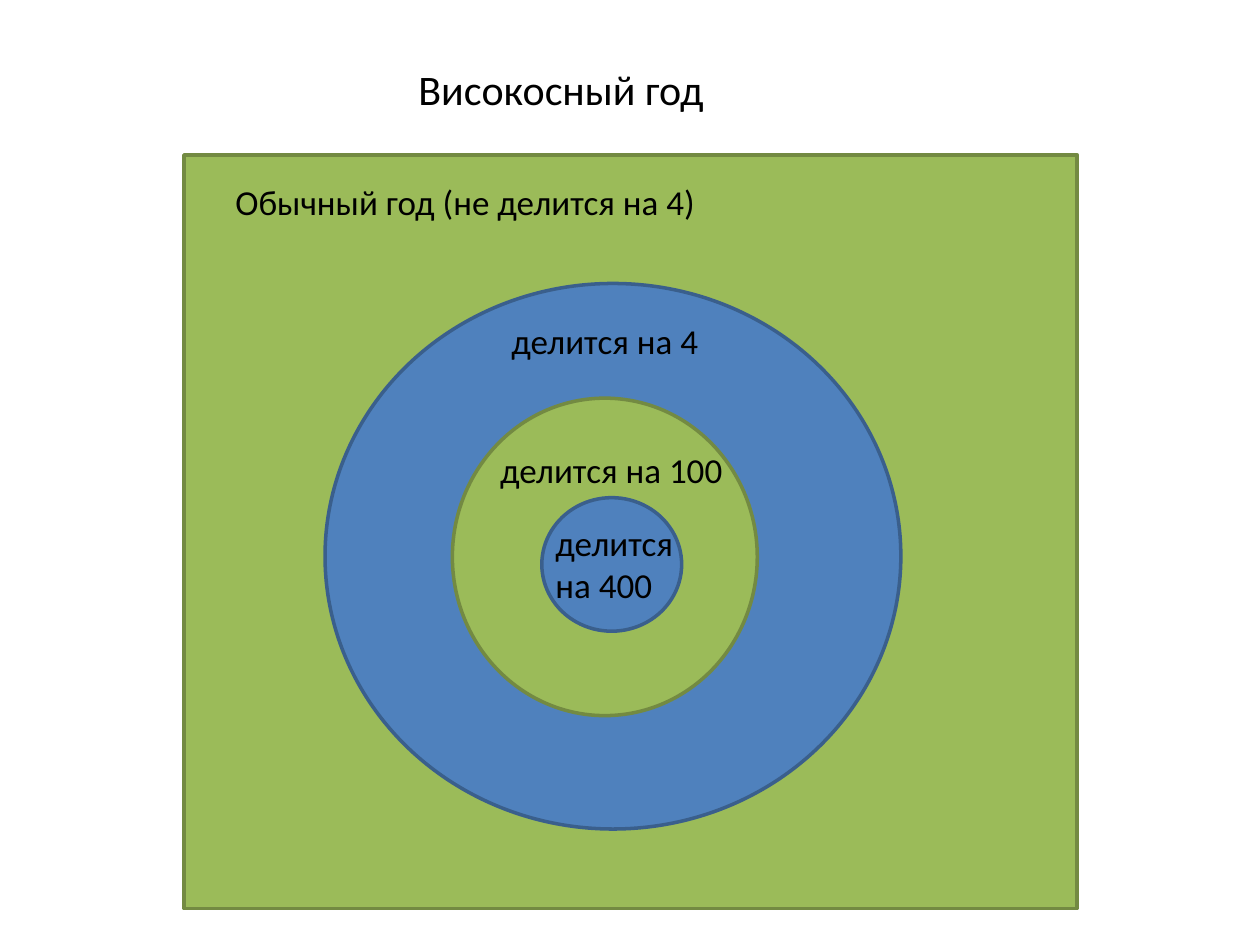
from dataclasses import dataclass

from pptx import Presentation
from pptx import util as u
from pptx.dml.color import RGBColor
from pptx.enum import shapes, text


@dataclass(frozen=True)
class Theme:
    """Colours, font and sizes of the slide; a region is (fill, line)."""
    font: str = "Calibri"
    ink: str = "000000"
    common_year: tuple = ("9BBB59", "738A42")
    leap_year: tuple = ("4F81BD", "3A5F8C")
    outline: float = 2
    title_size: int = 24
    label_size: int = 20


THEME = Theme()


def inches(box):
    """Turn left, top, width and height into lengths."""
    return [u.Inches(length) for length in box]


def write(frame, lines, size):
    """Write left-aligned, unwrapped lines into a text frame."""
    frame.word_wrap = False
    frame.auto_size = text.MSO_AUTO_SIZE.SHAPE_TO_FIT_TEXT
    frame.vertical_anchor = text.MSO_ANCHOR.TOP
    for index, line in enumerate(lines):
        paragraph = frame.paragraphs[0] if index == 0 else frame.add_paragraph()
        paragraph.alignment = text.PP_ALIGN.LEFT
        paragraph.space_before = u.Pt(0)
        run = paragraph.add_run()
        run.text = line
        run.font.name = THEME.font
        run.font.size = u.Pt(size)
        run.font.color.rgb = RGBColor.from_string(THEME.ink)


def set_title(slide, box, wording):
    """Move the title placeholder and write the title."""
    title = slide.shapes.title
    title.left, title.top, title.width, title.height = inches(box)
    write(title.text_frame, [wording], THEME.title_size)


def add_region(slide, outline, box, colours):
    """Draw one set of years as a filled outline."""
    region = slide.shapes.add_shape(outline, *inches(box))
    fill, line = (RGBColor.from_string(colour) for colour in colours)
    region.shadow.inherit = False
    region.fill.solid()
    region.fill.fore_color.rgb = fill
    region.line.color.rgb = line
    region.line.width = u.Pt(THEME.outline)


def add_label(slide, box, *lines):
    """Place the label of a region."""
    label = slide.shapes.add_textbox(*inches(box))
    write(label.text_frame, lines, THEME.label_size)


def main():
    """Build the nested sets of years, from the outermost inwards."""
    deck = Presentation()
    deck.slide_width, deck.slide_height = u.Inches(10), u.Inches(7.5)
    slide = deck.slides.add_slide(deck.slide_layouts[5])
    set_title(slide, (3.22, 0.45, 2.49, 0.5), "Високосный год")

    rectangle, oval = shapes.MSO_SHAPE.RECTANGLE, shapes.MSO_SHAPE.OVAL
    year_sets = [
        (rectangle, (1.46, 1.23, 7.09, 5.98), THEME.common_year,
         (1.77, 1.38, 3.88, 0.44), ["Обычный год (не делится на 4)"]),
        (oval, (2.58, 2.25, 4.57, 4.33), THEME.leap_year,
         (3.96, 2.49, 1.7, 0.44), ["делится на 4"]),
        (oval, (3.59, 3.16, 2.42, 2.52), THEME.common_year,
         (3.87, 3.51, 1.98, 0.44), ["делится на 100"]),
        (oval, (4.3, 3.95, 1.11, 1.06), THEME.leap_year,
         (4.31, 4.09, 1.21, 0.77), ["делится", "на 400"]),
    ]
    for outline, region_box, colours, label_box, lines in year_sets:
        add_region(slide, outline, region_box, colours)
        add_label(slide, label_box, *lines)

    deck.save("out.pptx")


main()
